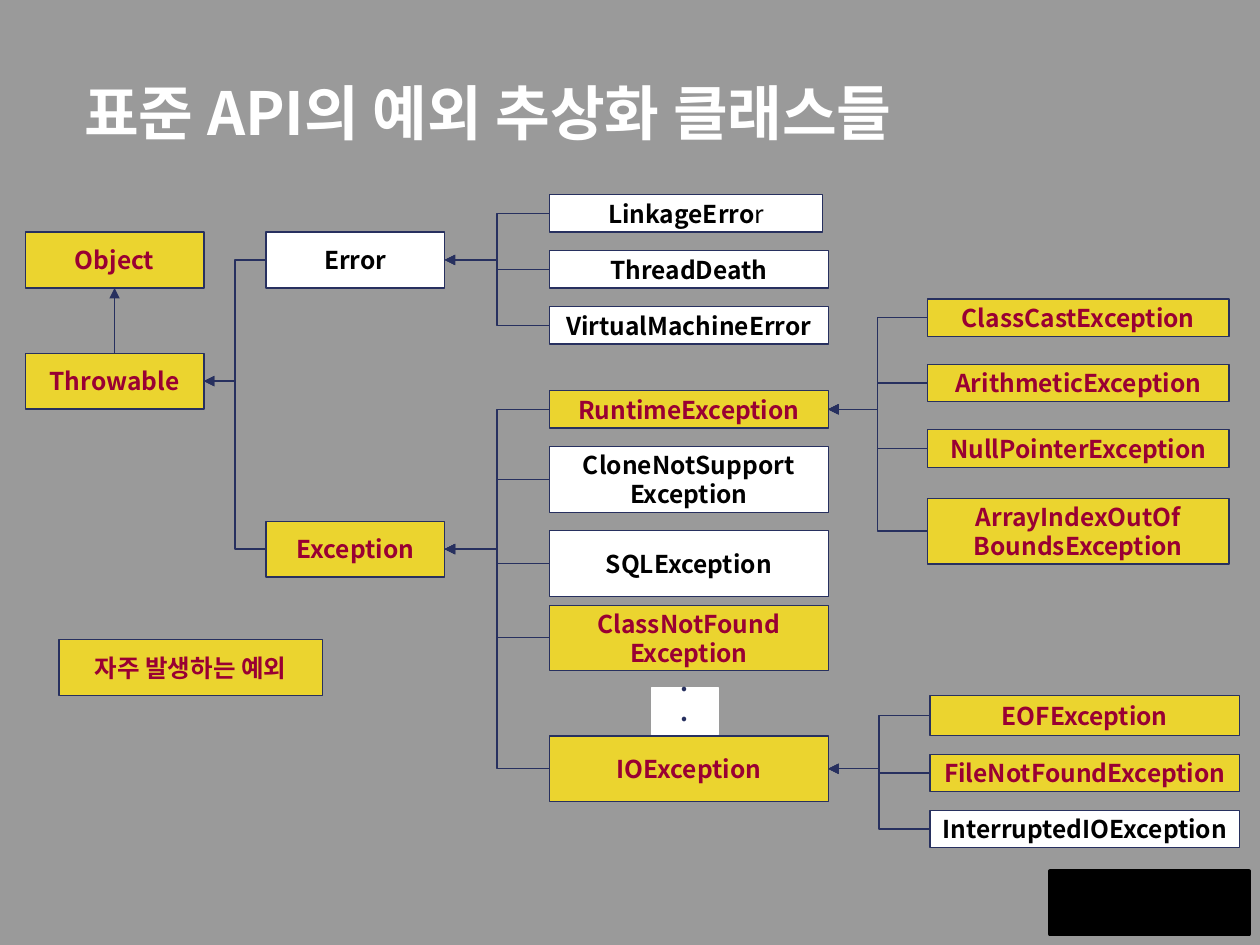
from lxml.etree import SubElement
from pptx import Presentation
from pptx.dml.color import RGBColor
from pptx.enum.shapes import MSO_CONNECTOR as Connector, MSO_SHAPE as Shape
from pptx.enum.text import MSO_ANCHOR as Anchor, PP_ALIGN as Align
from pptx.oxml.ns import qn
from pptx.util import Pt

GRAY = RGBColor(0x9A, 0x9A, 0x9A)
WHITE = RGBColor(0xFF, 0xFF, 0xFF)
BLACK = RGBColor(0, 0, 0)
YELLOW = RGBColor(0xEB, 0xD4, 0x2F)
CRIMSON = RGBColor(0x99, 0x00, 0x33)
NAVY = RGBColor(0x27, 0x30, 0x5F)
FONT = "Noto Sans CJK KR"

TITLE = "표준 API의 예외 추상화 클래스들"
LEGEND = "자주 발생하는 예외"

COLUMNS = {
    "root": (14.4, 102.2),
    "branch": (152, 102.2),
    "linkage": (314, 156.2),
    "family": (314, 159.3),
    "runtime": (530, 172.4),
    "io": (531.4, 177),
}
TALL, LOW, DOUBLE = 32, 21.4, 37.5

# name, column, top, height, common, parent
CLASSES = [
    ("Object", "root", 132.6, TALL, True, None),
    ("Throwable", "root", 201.8, TALL, True, "Object"),
    ("Error", "branch", 132.6, TALL, False, "Throwable"),
    ("Exception", "branch", 297.8, TALL, True, "Throwable"),
    ("LinkageError", "linkage", 111.2, LOW, False, "Error"),
    ("ThreadDeath", "family", 143.2, LOW, False, "Error"),
    ("VirtualMachineError", "family", 175.2, LOW, False, "Error"),
    ("RuntimeException", "family", 223.2, LOW, True, "Exception"),
    ("CloneNotSupport\nException", "family", 255.2, DOUBLE, False, "Exception"),
    ("SQLException", "family", 303.2, DOUBLE, False, "Exception"),
    ("ClassNotFound\nException", "family", 345.8, DOUBLE, True, "Exception"),
    ("IOException", "family", 420.6, DOUBLE, True, "Exception"),
    ("EOFException", "io", 397.4, 23, True, "IOException"),
    ("FileNotFoundException", "io", 431.1, LOW, True, "IOException"),
    ("InterruptedIOException", "io", 463.1, LOW, False, "IOException"),
    ("ClassCastException", "runtime", 170.8, LOW, True, "RuntimeException"),
    ("ArithmeticException", "runtime", 208.2, LOW, True, "RuntimeException"),
    ("NullPointerException", "runtime", 245.6, LOW, True, "RuntimeException"),
    ("ArrayIndexOutOf\nBoundsException", "runtime", 284.8, DOUBLE, True, "RuntimeException"),
]
TOP, LEFT, BOTTOM, RIGHT = range(4)


def style(paragraph, size, color):
    font = paragraph.font
    font.size, font.bold, font.name = Pt(size), True, FONT
    font.color.rgb = color
    properties = paragraph._p.pPr.find(qn("a:defRPr"))
    SubElement(properties, qn("a:ea"), typeface=FONT)


def add_box(slide, bounds, fill, outline, weight=0.75):
    shape = slide.shapes.add_shape(Shape.RECTANGLE, *map(Pt, bounds))
    shape.shadow.inherit = False
    shape.fill.solid()
    shape.fill.fore_color.rgb = fill
    shape.line.color.rgb = outline
    shape.line.width = Pt(weight)
    return shape


def add_label(slide, text, bounds, fill, color, outline=NAVY):
    shape = add_box(slide, bounds, fill, outline)
    frame = shape.text_frame
    frame.word_wrap = False
    frame.vertical_anchor = Anchor.MIDDLE
    frame.text = text
    for paragraph in frame.paragraphs:
        paragraph.alignment = Align.CENTER
        style(paragraph, 14, color)
    return shape


def add_arrow(slide, child, parent, kind, child_site, parent_site):
    arrow = slide.shapes.add_connector(kind, 0, 0, 0, 0)
    arrow.begin_connect(child, child_site)
    arrow.end_connect(parent, parent_site)
    arrow.line.color.rgb = NAVY
    arrow.line.width = Pt(0.75)
    SubElement(arrow.line._get_or_add_ln(), qn("a:tailEnd"), type="triangle")
    SubElement(arrow._element.spPr, qn("a:effectLst"))


def add_title(slide):
    frame = slide.shapes.add_textbox(Pt(48.2), Pt(47.5), Pt(641), Pt(37.4)).text_frame
    frame.word_wrap = True
    frame.vertical_anchor = Anchor.BOTTOM
    frame.margin_left = frame.margin_right = frame.margin_top = frame.margin_bottom = 0
    paragraph = frame.paragraphs[0]
    paragraph.text = TITLE
    paragraph.line_spacing = 0.9
    style(paragraph, 34, WHITE)


def add_hierarchy(slide):
    boxes = {}
    for name, column, top, height, common, parent in CLASSES:
        left, width = COLUMNS[column]
        fill, color = (YELLOW, CRIMSON) if common else (WHITE, BLACK)
        boxes[name] = add_label(slide, name, (left, top, width, height), fill, color)
    for name, column, *_, parent in CLASSES:
        if parent:
            route = (Connector.STRAIGHT, TOP, BOTTOM) if column == "root" else (Connector.ELBOW, LEFT, RIGHT)
            add_arrow(slide, boxes[name], boxes[parent], *route)
    paragraph = boxes["LinkageError"].text_frame.paragraphs[0]
    paragraph.runs[0].text = "LinkageErro"
    ending = paragraph.add_run()
    ending.text = "r"
    ending.font.bold = False


def main():
    presentation = Presentation()
    presentation.slide_width, presentation.slide_height = Pt(720), Pt(540)
    slide = presentation.slides.add_slide(presentation.slide_layouts[6])
    slide.background.fill.solid()
    slide.background.fill.fore_color.rgb = GRAY

    add_box(slide, (600, 498, 113.8, 36), BLACK, BLACK, 2.25)
    add_title(slide)
    add_hierarchy(slide)
    dots = add_label(slide, ".\n.", (372.4, 393.2, 38, 26.6), WHITE, NAVY, WHITE)
    dots.text_frame.margin_bottom = Pt(20.4)
    add_label(slide, LEGEND, (33.8, 365.6, 150.4, TALL), YELLOW, CRIMSON)
    presentation.save("out.pptx")


if __name__ == "__main__":
    main()
